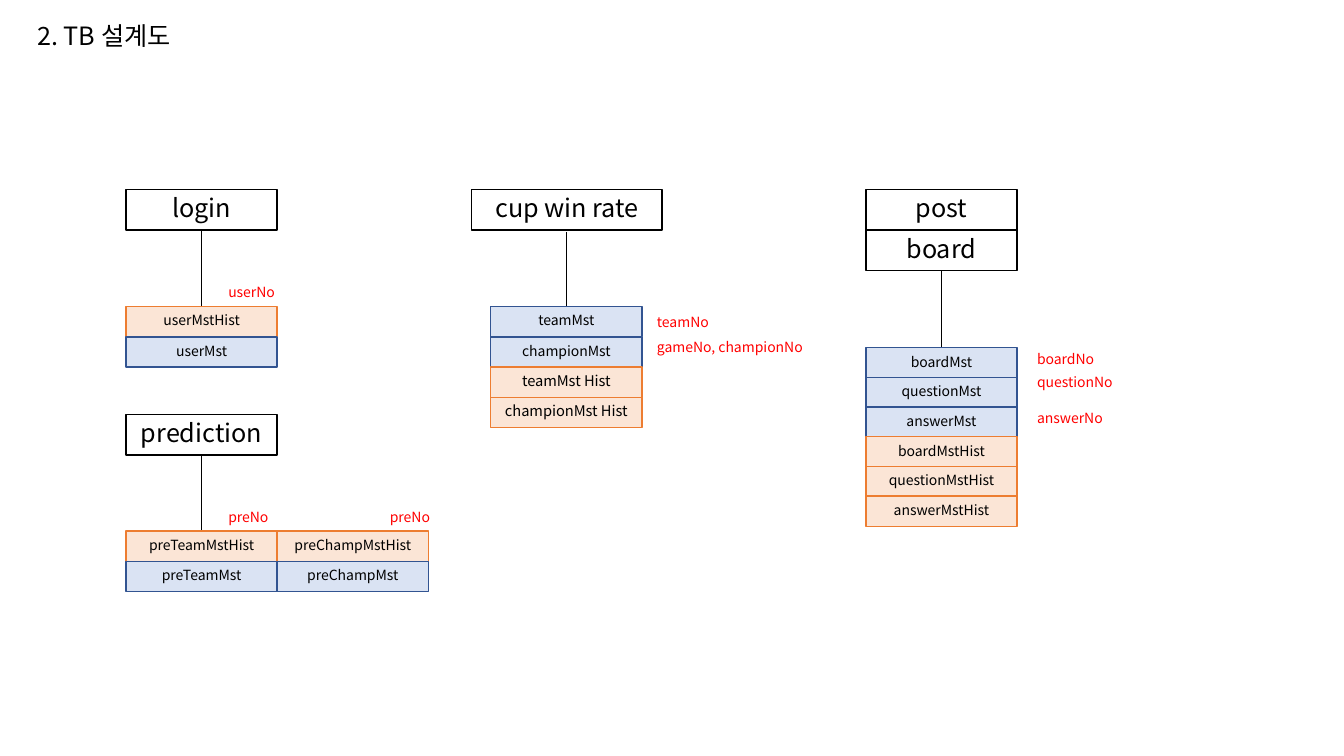
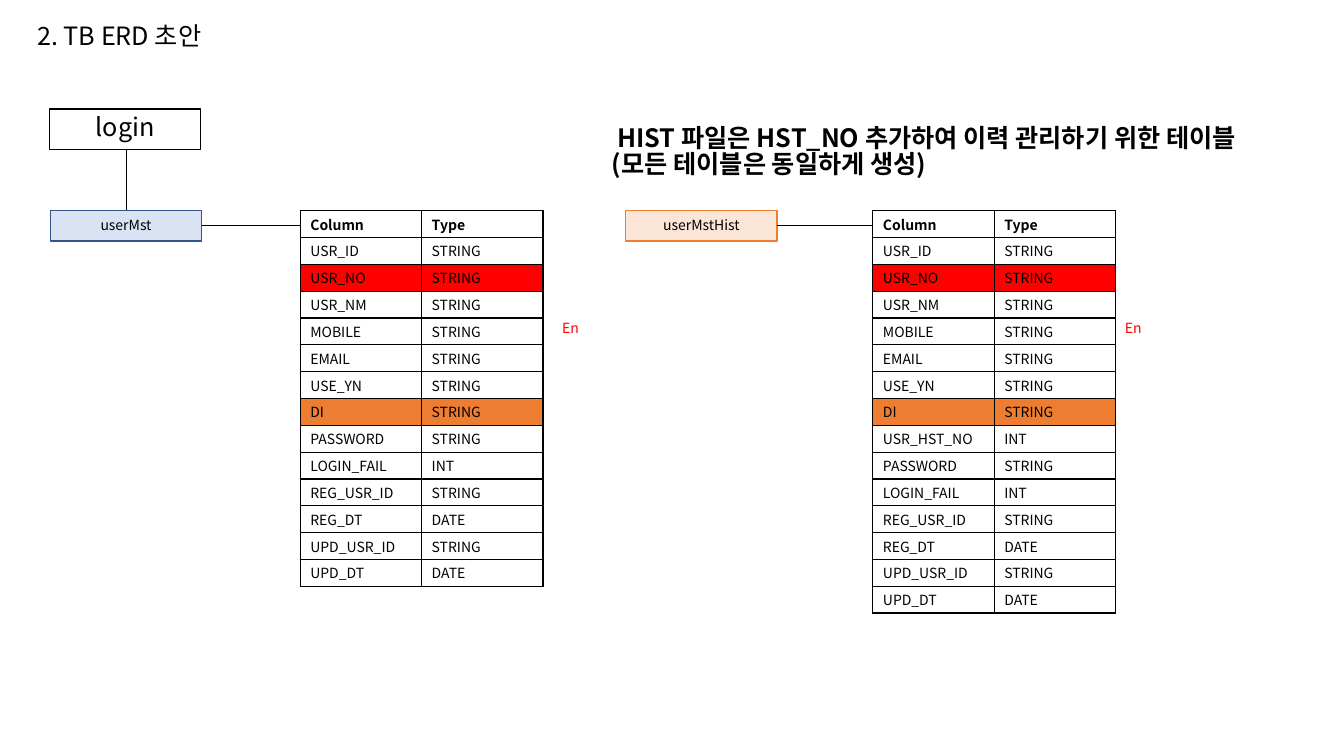
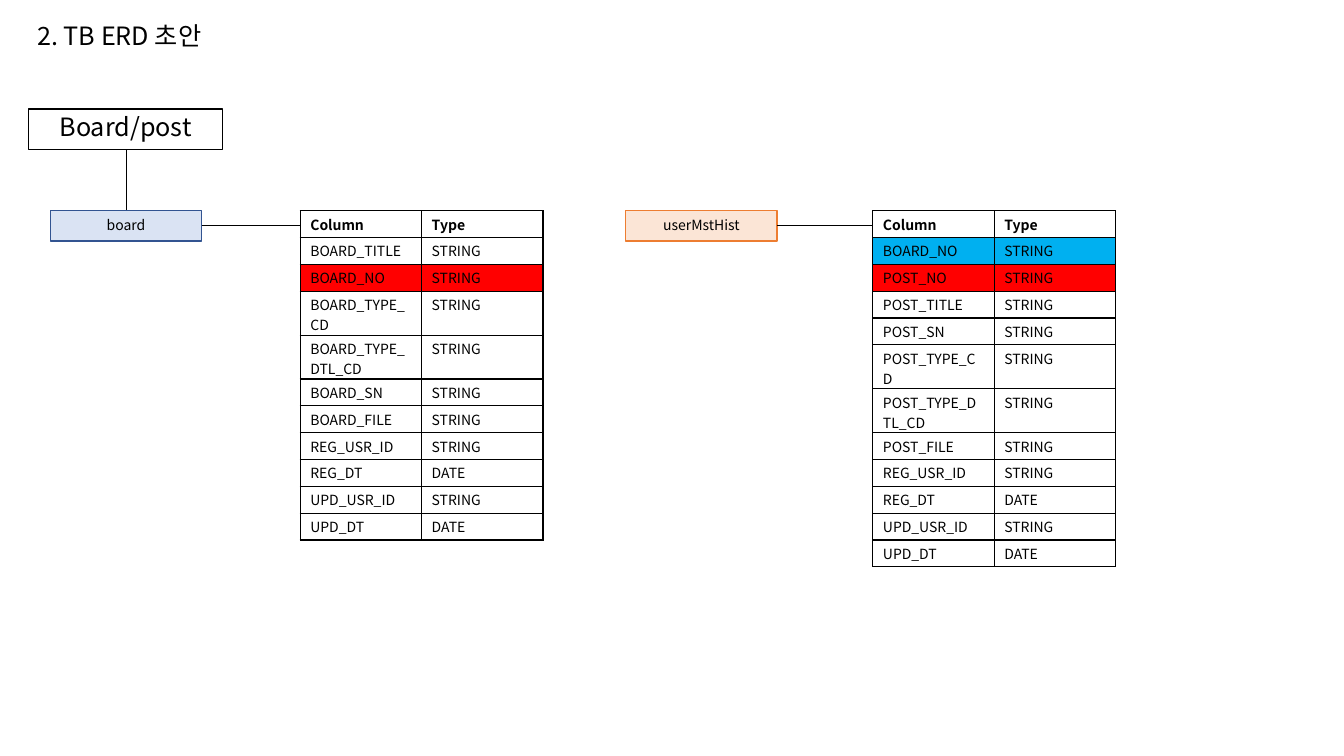
import pptx
import pptx.dml.color
import pptx.enum.shapes
import pptx.enum.text
import pptx.oxml.ns
import pptx.util
import lxml.etree

Pt = pptx.util.Pt
ALIGN = pptx.enum.text.PP_ALIGN
ANCHOR = pptx.enum.text.MSO_ANCHOR

# Shared style
FONT = "Noto Sans CJK KR"
BLACK, RED, ORANGE, SKY = "000000", "FF0000", "ED7D31", "00B0F0"
MASTER = ("DAE3F3", "325491")
HISTORY = ("FBE5D6", ORANGE)
BOX_WIDTH, HEADING_HEIGHT, ENTITY_HEIGHT = 108, 29, 21.6
COLUMN_WIDTH, ROW_HEIGHT, WRAPPED_ROW_HEIGHT = 86.7, 19.18, 31.4
LONGEST_ON_ONE_LINE = 11


def color(value):
    return pptx.dml.color.RGBColor.from_string(value)


def write_text(frame, text, size=10, text_color=BLACK, bold=False,
               align=ALIGN.LEFT, spacing=0.85, first_indent=0):
    """Fill a text frame; each line of the text becomes a paragraph."""
    for index, line in enumerate(text.split("\n")):
        paragraph = frame.paragraphs[0] if index == 0 else frame.add_paragraph()
        paragraph.alignment = align
        paragraph.line_spacing = spacing
        if index == 0 and first_indent:
            paragraph._p.get_or_add_pPr().set("indent", str(Pt(first_indent)))
        run = paragraph.add_run()
        run.text = line
        run.font.size = Pt(size)
        run.font.bold = bold
        run.font.name = FONT
        run.font.color.rgb = color(text_color)
        east_asian = lxml.etree.SubElement(run._r.rPr, pptx.oxml.ns.qn("a:ea"))
        east_asian.set("typeface", FONT)


def add_borders(cell):
    properties = cell._tc.get_or_add_tcPr()
    for side in ("lnL", "lnR", "lnT", "lnB"):
        line = lxml.etree.SubElement(properties, pptx.oxml.ns.qn("a:" + side), w=str(Pt(1)))
        fill = lxml.etree.SubElement(line, pptx.oxml.ns.qn("a:solidFill"))
        lxml.etree.SubElement(fill, pptx.oxml.ns.qn("a:srgbClr"), val=BLACK)


class Deck:
    def __init__(self):
        self.presentation = pptx.Presentation()
        self.presentation.slide_width = Pt(960)
        self.presentation.slide_height = Pt(540)
        self.slide = None

    def new_slide(self, title):
        self.slide = self.presentation.slides.add_slide(self.presentation.slide_layouts[5])
        shape = self.slide.shapes.title
        shape.left, shape.top, shape.width, shape.height = Pt(19.4), Pt(14.4), Pt(206), Pt(29)
        frame = shape.text_frame
        frame.auto_size = pptx.enum.text.MSO_AUTO_SIZE.NONE
        frame.vertical_anchor = ANCHOR.TOP
        write_text(frame, title, size=18)

    def box(self, text, left, top, width, height, fill, line, size):
        shape = self.slide.shapes.add_shape(
            pptx.enum.shapes.MSO_SHAPE.RECTANGLE, Pt(left), Pt(top), Pt(width), Pt(height))
        shape.shadow.inherit = False
        if fill:
            shape.fill.solid()
            shape.fill.fore_color.rgb = color(fill)
        else:
            shape.fill.background()
        shape.line.color.rgb = color(line)
        shape.line.width = Pt(1)
        shape.text_frame.word_wrap = True
        shape.text_frame.vertical_anchor = ANCHOR.MIDDLE
        write_text(shape.text_frame, text, size=size, align=ALIGN.CENTER)

    def heading(self, text, left, top, width=BOX_WIDTH):
        self.box(text, left, top, width, HEADING_HEIGHT, None, BLACK, 18)

    def entity(self, text, left, top, kind, size=10):
        self.box(text, left, top, BOX_WIDTH, ENTITY_HEIGHT, *kind, size)

    def stack(self, left, top, entities, pitch=ENTITY_HEIGHT):
        for index, entity in enumerate(entities):
            name, kind, *size = entity
            self.entity(name, left, top + index * pitch, kind, *size)

    def label(self, text, left, top, width=149, height=19.4, **text_format):
        shape = self.slide.shapes.add_textbox(Pt(left), Pt(top), Pt(width), Pt(height))
        shape.text_frame.word_wrap = True
        write_text(shape.text_frame, text, **text_format)

    def key(self, text, left, top):
        self.label(text, left, top, text_color=RED)

    def link(self, x1, y1, x2, y2):
        connector = self.slide.shapes.add_connector(
            pptx.enum.shapes.MSO_CONNECTOR.STRAIGHT, Pt(x1), Pt(y1), Pt(x2), Pt(y2))
        connector.line.color.rgb = color(BLACK)
        connector.line.width = Pt(0.5)
        lxml.etree.SubElement(connector._element.spPr, pptx.oxml.ns.qn("a:effectLst"))

    def table(self, left, top, fields, fills):
        rows = [("Column", "Type")] + fields
        heights = [WRAPPED_ROW_HEIGHT if len(name) > LONGEST_ON_ONE_LINE else ROW_HEIGHT
                   for name, _ in rows]
        table = self.slide.shapes.add_table(
            len(rows), 2, Pt(left), Pt(top), Pt(2 * COLUMN_WIDTH), Pt(sum(heights))).table
        table.first_row = table.horz_banding = False
        for column in table.columns:
            column.width = Pt(COLUMN_WIDTH)
        for row_index, row in enumerate(rows):
            table.rows[row_index].height = Pt(heights[row_index])
            for column_index, text in enumerate(row):
                cell = table.cell(row_index, column_index)
                cell.margin_left = cell.margin_right = Pt(7.2)
                cell.margin_top, cell.margin_bottom = Pt(2.4), Pt(0)
                add_borders(cell)
                if row[0] in fills:
                    cell.fill.solid()
                    cell.fill.fore_color.rgb = color(fills[row[0]])
                else:
                    cell.fill.background()
                write_text(cell.text_frame, text, bold=row_index == 0, spacing=1.0)

    def entity_table(self, name, left, kind, table_left, fields, fills):
        """An entity box joined to the table of its columns."""
        top = 150.5
        self.entity(name, left, top, kind)
        middle = top + ENTITY_HEIGHT / 2
        self.link(left + BOX_WIDTH, middle, table_left, middle)
        self.table(table_left, top, fields, fills)


AUDIT_FIELDS = [("REG_USR_ID", "STRING"), ("REG_DT", "DATE"),
                ("UPD_USR_ID", "STRING"), ("UPD_DT", "DATE")]


def strings(names):
    return [(name, "STRING") for name in names.split()]


def build_overview(deck):
    deck.new_slide("2. TB 설계도")

    # Login and prediction
    deck.heading("login", 90, 135.4)
    deck.link(144, 164.4, 144, 219)
    deck.stack(90, 219, [("userMstHist", HISTORY), ("userMst", MASTER)])
    deck.key("userNo", 156, 201)
    deck.heading("prediction", 90, 296)
    deck.link(143.5, 325, 143.5, 379.4)
    for index, name in enumerate(("preTeamMst", "preChampMst")):
        deck.stack(90 + index * BOX_WIDTH, 379.4, [(name + "Hist", HISTORY), (name, MASTER)])
        deck.key("preNo", 156 + index * 115.4, 361.4)

    # Win rate
    deck.heading("cup win rate", 337, 135.4, width=136)
    deck.link(404.6, 165.6, 404.6, 219)
    deck.stack(350.6, 219, [("teamMst", MASTER), ("championMst", MASTER),
                            ("teamMst Hist", HISTORY, 10.5),
                            ("championMst Hist", HISTORY, 10.5)])
    deck.key("teamNo", 462.2, 222.5)
    deck.key("gameNo, championNo", 462.2, 239.8)

    # Post and board
    deck.heading("post", 618.5, 135.4)
    deck.heading("board", 618.5, 164.4)
    deck.link(672.5, 193.4, 672.5, 248.4)
    names = ("boardMst", "questionMst", "answerMst")
    deck.stack(618.5, 248.4, [(name, MASTER) for name in names]
               + [(name + "Hist", HISTORY) for name in names], pitch=21.2)
    for name, top in (("boardNo", 248.4), ("questionNo", 265.2), ("answerNo", 291)):
        deck.key(name, 733.7, top)


def build_login(deck):
    deck.new_slide("2. TB ERD 초안")
    deck.heading("login", 35.5, 77.8)
    deck.link(90.4, 106.8, 90.4, 150.5)
    fills = {"USR_NO": RED, "DI": ORANGE}
    user = strings("USR_ID USR_NO USR_NM MOBILE EMAIL USE_YN DI")
    access = [("PASSWORD", "STRING"), ("LOGIN_FAIL", "INT")] + AUDIT_FIELDS
    deck.entity_table("userMst", 36, MASTER, 214.5, user + access, fills)
    deck.entity_table("userMstHist", 447, HISTORY, 623.5,
                      user + [("USR_HST_NO", "INT")] + access, fills)
    for left in (394.5, 796.5):
        deck.key("En", left, 226.8)
    deck.label("HIST 파일은 HST_NO 추가하여 이력 관리하기 위한 테이블\n(모든 테이블은 동일하게 생성)",
               430, 87.1, width=530, height=51, size=18, bold=True, first_indent=4)


def build_board(deck):
    deck.new_slide("2. TB ERD 초안")
    deck.heading("Board/post", 20.5, 77.8, width=138.5)
    deck.link(90.4, 106.8, 90.4, 150.5)
    board = strings("BOARD_TITLE BOARD_NO BOARD_TYPE_CD BOARD_TYPE_DTL_CD BOARD_SN BOARD_FILE")
    post = strings("BOARD_NO POST_NO POST_TITLE POST_SN POST_TYPE_CD POST_TYPE_DTL_CD POST_FILE")
    deck.entity_table("board", 36, MASTER, 214.5, board + AUDIT_FIELDS, {"BOARD_NO": RED})
    deck.entity_table("userMstHist", 447, HISTORY, 623.5, post + AUDIT_FIELDS,
                      {"BOARD_NO": SKY, "POST_NO": RED})


def main():
    deck = Deck()
    build_overview(deck)
    build_login(deck)
    build_board(deck)
    deck.presentation.save("out.pptx")


if __name__ == "__main__":
    main()
